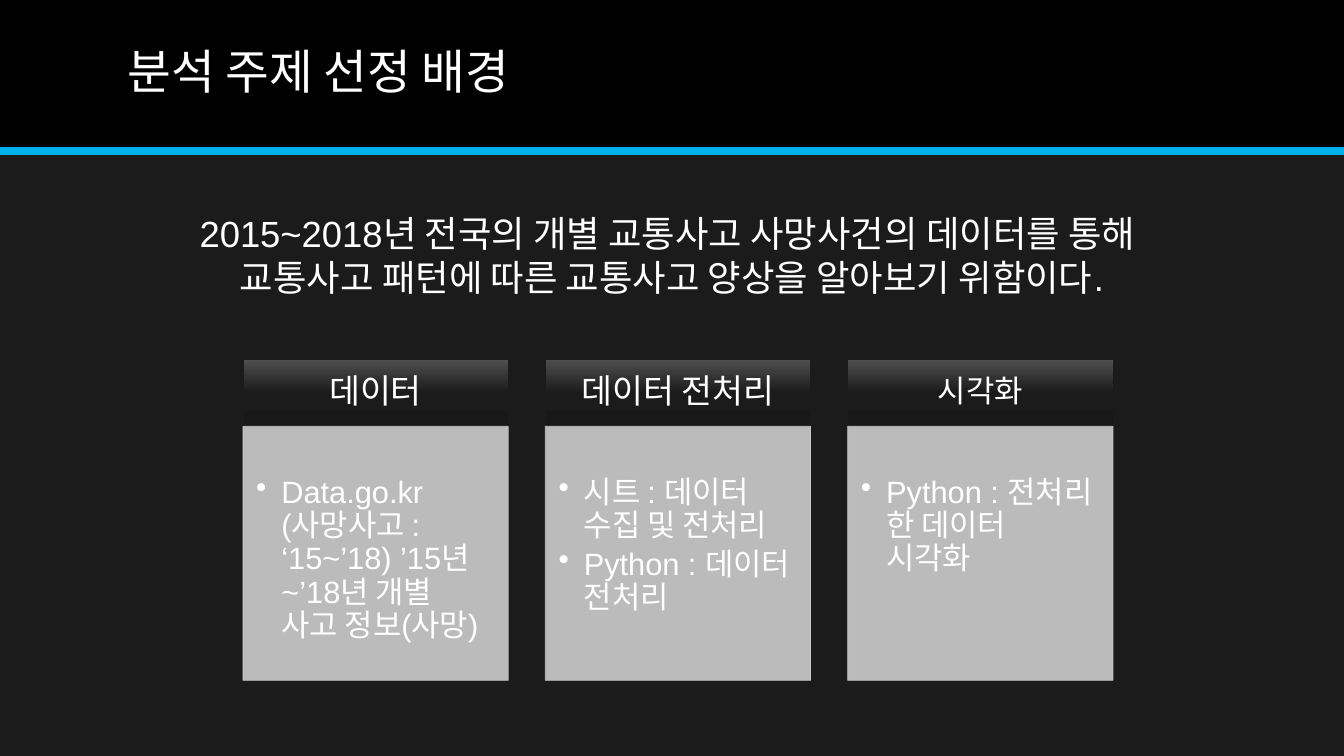
from pptx import Presentation
from pptx import util as u
from pptx.dml.color import RGBColor
from pptx.enum import shapes, text
from pptx.oxml.ns import qn
from lxml import etree

SLIDE_W, SLIDE_H = 960, 540
WHITE, BLACK, ACCENT, BACKDROP, PANEL = "FFFFFF", "000000", "00B0EA", "1B1B1B", "CDCDCD"
HEADING_STOPS = [(0, "4E4E4E"), (50, "1B1B1B"), (100, "181818")]
STEPS = [
    ("데이터", 24, ["Data.go.kr (사망사고 : ‘15~’18) ’15년~’18년 개별 사고 정보(사망)"]),
    ("데이터 전처리", 24, ["시트 : 데이터 수집 및 전처리", "Python : 데이터 전처리"]),
    ("시각화", 22, ["Python : 전처리 한 데이터 시각화"]),
]


def color(hex_code):
    """Turn a hex string into a colour."""
    return RGBColor.from_string(hex_code)


def add_rect(slide, box, fill, line=None):
    """Add a flat rectangle in the given box."""
    rect = slide.shapes.add_shape(shapes.MSO_SHAPE.RECTANGLE, *map(u.Pt, box))
    rect.shadow.inherit = False
    rect.fill.solid()
    rect.fill.fore_color.rgb = color(fill)
    if line:
        rect.line.color.rgb = color(line)
        rect.line.width = u.Pt(0.5)
    else:
        rect.line.fill.background()
    return rect


def write(shape, lines, size, font="Arial", align=text.PP_ALIGN.LEFT, spacing=0.9,
          anchor=text.MSO_ANCHOR.TOP, insets=(7.2, 3.6, 7.2, 3.6)):
    """Fill a shape with paragraphs of one style and return them."""
    frame = shape.text_frame
    frame.word_wrap = True
    frame.vertical_anchor = anchor
    frame.margin_left, frame.margin_top, frame.margin_right, frame.margin_bottom = map(u.Pt, insets)
    frame.text = "\n".join(lines)
    for paragraph in frame.paragraphs:
        paragraph.alignment = align
        paragraph.line_spacing = spacing
        paragraph.font.name = font
        paragraph.font.size = u.Pt(size)
        paragraph.font.color.rgb = color(WHITE)
    return frame.paragraphs


def set_gradient(shape, stops):
    """Give a shape a gradient that runs from top to bottom."""
    shape.fill.gradient()
    shape.fill.gradient_angle = 270
    stop_list = shape._element.spPr.find(qn("a:gradFill")).find(qn("a:gsLst"))
    for old_stop in list(stop_list):
        stop_list.remove(old_stop)
    for position, hex_code in stops:
        stop = etree.SubElement(stop_list, qn("a:gs"), pos=str(position * 1000))
        etree.SubElement(stop, qn("a:srgbClr"), val=hex_code)


def set_opacity(shape, percent):
    """Make the fill and line of a shape partly transparent."""
    for tint in shape._element.spPr.iter(qn("a:srgbClr")):
        etree.SubElement(tint, qn("a:alpha"), val=str(percent * 1000))


def add_bullet(paragraph, indent):
    """Hang a round bullet in front of a paragraph."""
    properties = paragraph._p.get_or_add_pPr()
    properties.set("marL", str(u.Pt(indent)))
    properties.set("indent", str(u.Pt(-indent)))
    properties.append(etree.Element(qn("a:buChar"), char="•"))


def add_title_band(slide, left, top, width, height):
    """Draw the black band with the title and its accent rule."""
    add_rect(slide, (left, top, width, height), BLACK)
    bottom = u.Pt(top + height)
    rule = slide.shapes.add_connector(shapes.MSO_CONNECTOR.STRAIGHT,
                                      u.Pt(left), bottom, u.Pt(left + width), bottom)
    rule.line.color.rgb = color(ACCENT)
    rule.line.width = u.Pt(6)
    etree.SubElement(rule._element.spPr, qn("a:effectLst"))
    title = slide.shapes.add_textbox(*map(u.Pt, (left + 84, top + 10, width - 168, height - 22)))
    write(title, ["분석 주제 선정 배경"], 34, "Noto Sans CJK KR", anchor=text.MSO_ANCHOR.MIDDLE)


def add_purpose(slide, left, top, width, height):
    """Write the centred statement of purpose."""
    purpose = slide.shapes.add_textbox(*map(u.Pt, (left, top, width, height)))
    write(purpose, ["2015~2018년 전국의 개별 교통사고 사망사건의 데이터를 통해 ",
                    "교통사고 패턴에 따른 교통사고 양상을 알아보기 위함이다."],
          26, align=text.PP_ALIGN.CENTER, spacing=1)


def add_step(slide, left, top, width, height, heading, heading_size, details):
    """Draw one step: a heading bar above a panel of bullets."""
    bar_height = 47.5
    bar = add_rect(slide, (left, top, width, bar_height), BACKDROP, BACKDROP)
    set_gradient(bar, HEADING_STOPS)
    write(bar, [heading], heading_size, align=text.PP_ALIGN.CENTER,
          anchor=text.MSO_ANCHOR.MIDDLE, insets=(13, 8, 13, 8))
    panel = add_rect(slide, (left, top + bar_height, width, height - bar_height), PANEL, PANEL)
    set_opacity(panel, 90)
    for paragraph in write(panel, details, 22, insets=(9.5, 36, 12.5, 13.5)):
        paragraph.space_after = u.Pt(4)
        add_bullet(paragraph, 18)


def add_steps(slide, left, top, width, height):
    """Lay the steps out side by side with equal gaps."""
    step_width = 189.5
    pitch = (width - step_width) / (len(STEPS) - 1)
    for index, step in enumerate(STEPS):
        add_step(slide, left + index * pitch, top, step_width, height, *step)


def main():
    """Build the slide and save it."""
    deck = Presentation()
    deck.slide_width, deck.slide_height = u.Pt(SLIDE_W), u.Pt(SLIDE_H)
    slide = deck.slides.add_slide(deck.slide_layouts[6])
    slide.background.fill.solid()
    slide.background.fill.fore_color.rgb = color(BACKDROP)
    add_title_band(slide, 0, 0, SLIDE_W, 108)
    add_purpose(slide, 0, 147.5, SLIDE_W, 70.5)
    add_steps(slide, 173.5, 257, 621.5, 229)
    deck.save("out.pptx")


if __name__ == "__main__":
    main()
